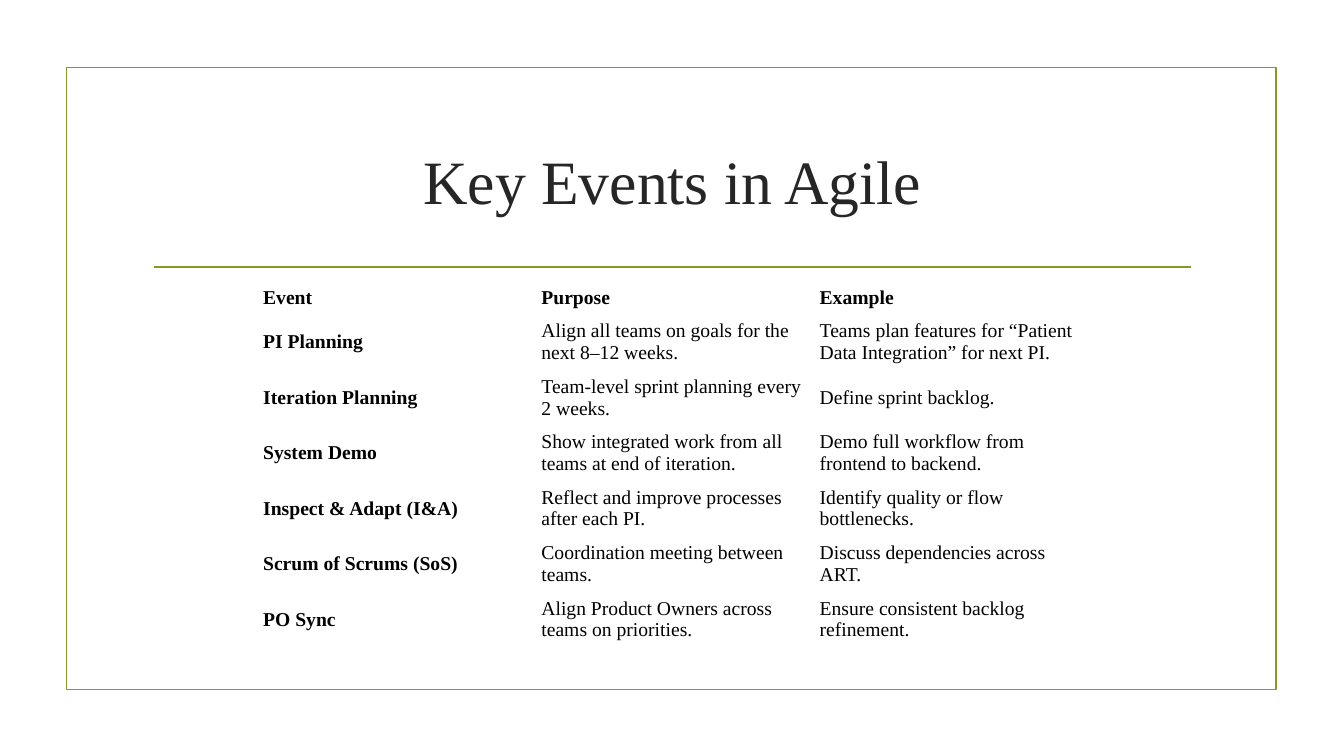
from dataclasses import dataclass

from pptx import Presentation
from pptx.dml.color import RGBColor
from pptx.enum.shapes import MSO_CONNECTOR as CONN, MSO_SHAPE as SHAPE
from pptx.enum.text import MSO_ANCHOR as ANCHOR, PP_ALIGN as ALIGN
from pptx.oxml.ns import qn
from pptx.util import Pt
from lxml.etree import SubElement

PX = 9144  # EMU per px, 100 px to the inch
FONT = "Times New Roman"
GREEN, DARK, BLACK = "83992A", "262626", "000000"


@dataclass
class Event:
    name: str
    purpose: str
    example: str


HEADER = Event("Event", "Purpose", "Example")
EVENTS = [
    Event("PI Planning", "Align all teams on goals for the next 8–12 weeks.",
          "Teams plan features for “Patient Data Integration” for next PI."),
    Event("Iteration Planning", "Team-level sprint planning every 2 weeks.",
          "Define sprint backlog."),
    Event("System Demo", "Show integrated work from all teams at end of iteration.",
          "Demo full workflow from frontend to backend."),
    Event("Inspect & Adapt (I&A)", "Reflect and improve processes after each PI.",
          "Identify quality or flow bottlenecks."),
    Event("Scrum of Scrums (SoS)", "Coordination meeting between teams.",
          "Discuss dependencies across ART."),
    Event("PO Sync", "Align Product Owners across teams on priorities.",
          "Ensure consistent backlog refinement."),
]


def px(*values: int) -> list[int]:
    return [v * PX for v in values]


def rgb(value: str) -> RGBColor:
    return RGBColor.from_string(value)


def set_all(obj, values: dict) -> None:
    for key, value in values.items():
        setattr(obj, key, value)


def write(p, text: str, size: int, color: str, bold: bool = False) -> None:
    r = p.add_run()
    r.text = text
    set_all(r.font, {"name": FONT, "size": Pt(size), "bold": bold})
    r.font.color.rgb = rgb(color)


def green_line(line) -> None:
    line.color.rgb = rgb(GREEN)
    line.width = Pt(1.25)


def fill_cell(cell, text: str, bold: bool) -> None:
    side, edge = px(8, 4)
    set_all(cell, {"margin_left": side, "margin_right": side, "margin_top": edge,
                   "margin_bottom": edge, "vertical_anchor": ANCHOR.MIDDLE})
    cell.fill.background()
    write(cell.text_frame.paragraphs[0], text, 14, BLACK, bold)


def add_events(s, rows: list[Event]) -> None:
    heights = [32] + [55] * (len(rows) - 1)
    table = s.shapes.add_table(len(rows), 3, *px(253, 280, 828, sum(heights))).table
    set_all(table, {"first_row": False, "horz_banding": False})
    for col in table.columns:
        col.width = 276 * PX
    for i, (event, height) in enumerate(zip(rows, heights)):
        table.rows[i].height = height * PX
        for j, text in enumerate((event.name, event.purpose, event.example)):
            fill_cell(table.cell(i, j), text, bold=i == 0 or j == 0)


def main() -> None:
    prs = Presentation()
    prs.slide_width, prs.slide_height = px(1333, 750)
    s = prs.slides.add_slide(prs.slide_layouts[6])

    # Frame
    frame = s.shapes.add_shape(SHAPE.RECTANGLE, *px(66, 67, 1200, 617))
    frame.shadow.inherit = False
    frame.fill.background()
    green_line(frame.line)

    # Rule under the title
    rule = s.shapes.add_connector(CONN.STRAIGHT, *px(153, 265, 1181, 265))
    green_line(rule.line)
    SubElement(rule._element.spPr, qn("a:effectLst"))

    # Title
    tf = s.shapes.add_textbox(*px(142, 107, 1050, 143)).text_frame
    set_all(tf, {"word_wrap": True, "vertical_anchor": ANCHOR.MIDDLE})
    p = tf.paragraphs[0]
    p.alignment = ALIGN.CENTER
    write(p, "Key Events in Agile", 44, DARK)

    # Table of events
    add_events(s, [HEADER] + EVENTS)
    prs.save("out.pptx")


if __name__ == "__main__":
    main()
